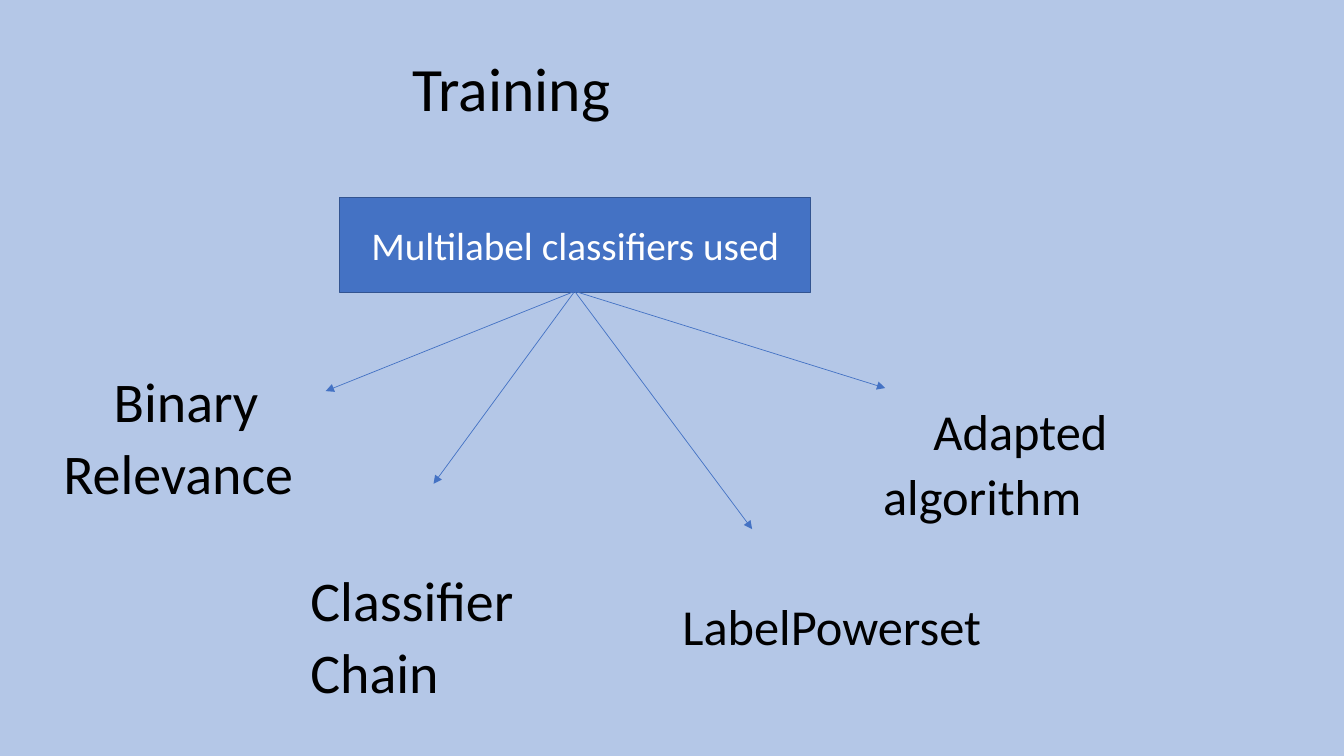
import pptx
import pptx.util
import pptx.dml.color
import pptx.enum.shapes
import pptx.enum.text
import pptx.oxml.ns

Inches = pptx.util.Inches
Pt = pptx.util.Pt
RGB = pptx.dml.color.RGBColor
Align = pptx.enum.text.PP_ALIGN
Anchor = pptx.enum.text.MSO_ANCHOR
Fit = pptx.enum.text.MSO_AUTO_SIZE

SKY = RGB(0xB4, 0xC7, 0xE7)
BLUE = RGB(0x44, 0x72, 0xC4)
NAVY = RGB(0x32, 0x54, 0x91)
BLACK = RGB(0, 0, 0)
WHITE = RGB(0xFF, 0xFF, 0xFF)

TITLE = {"line_spacing": 0.9}
CENTER = {"alignment": Align.CENTER}
BODY = {"line_spacing": 1.07, "space_after": Pt(8)}


class Board:
    font = "Calibri"

    def __init__(self, slide):
        self.slide = slide
        fill = slide.background.fill
        fill.solid()
        fill.fore_color.rgb = SKY

    def letter(self, shape, text, size, color, style, anchor):
        """Put one styled paragraph in the shape and return it."""
        frame = shape.text_frame
        frame.word_wrap = True
        frame.vertical_anchor = anchor
        para = frame.paragraphs[0]
        for name, value in style.items():
            setattr(para, name, value)
        run = para.add_run()
        run.text = text
        look = {"name": self.font, "size": Pt(size)}
        for name, value in look.items():
            setattr(run.font, name, value)
        run.font.color.rgb = color
        return para

    def title(self, text, place):
        box = self.slide.shapes.add_textbox(*map(Inches, place))
        self.letter(box, text, 44, BLACK, TITLE, Anchor.MIDDLE)

    def label(self, text, size, place):
        """Add a text box whose first line is indented by half an inch."""
        box = self.slide.shapes.add_textbox(*map(Inches, place))
        para = self.letter(box, text, size, BLACK, BODY, Anchor.TOP)
        box.text_frame.auto_size = Fit.SHAPE_TO_FIT_TEXT
        props = para._p.get_or_add_pPr()
        props.set("marL", "0")
        props.set("indent", str(Inches(0.5)))

    def block(self, text, place):
        kind = pptx.enum.shapes.MSO_SHAPE.RECTANGLE
        rect = self.slide.shapes.add_shape(kind, *map(Inches, place))
        rect.shadow.inherit = False
        rect.fill.solid()
        rect.fill.fore_color.rgb = BLUE
        rect.line.color.rgb = NAVY
        rect.line.width = Pt(1)
        self.letter(rect, text, 28, WHITE, CENTER, Anchor.MIDDLE)

    def arrow(self, start, end):
        kind = pptx.enum.shapes.MSO_CONNECTOR.STRAIGHT
        link = self.slide.shapes.add_connector(
            kind, *map(Inches, start + end))
        link.line.color.rgb = BLUE
        link.line.width = Pt(0.5)
        qn = pptx.oxml.ns.qn
        props = link._element.spPr
        line = props.find(qn("a:ln"))
        line.append(line.makeelement(qn("a:tailEnd"), {"type": "triangle"}))
        props.append(props.makeelement(qn("a:effectLst"), {}))


def main():
    deck = pptx.Presentation()
    deck.slide_width = Inches(13.33)
    deck.slide_height = Inches(7.5)
    board = Board(deck.slides.add_slide(deck.slide_layouts[6]))

    board.title("Training", (3.99, 0.47, 3.64, 0.88))
    board.block("Multilabel classifiers used", (3.37, 1.96, 4.67, 0.94))

    methods = [
        ("Binary Relevance", 40, (0.53, 3.54, 2.57, 1.51), (3.23, 3.88)),
        (" Classifier Chain", 40, (2.98, 4.8, 2.38, 2.23), (4.3, 4.8)),
        ("LabelPowerset", 36, (6.17, 5.81, 4.1, 0.72), (7.46, 5.25)),
        ("Adapted algorithm", 36, (8.66, 3.88, 2.79, 1.37), (8.78, 3.85)),
    ]
    hub = (5.7, 2.89)
    for text, size, place, end in methods:
        board.label(text, size, place)
        board.arrow(hub, end)

    deck.save("out.pptx")


if __name__ == "__main__":
    main()
